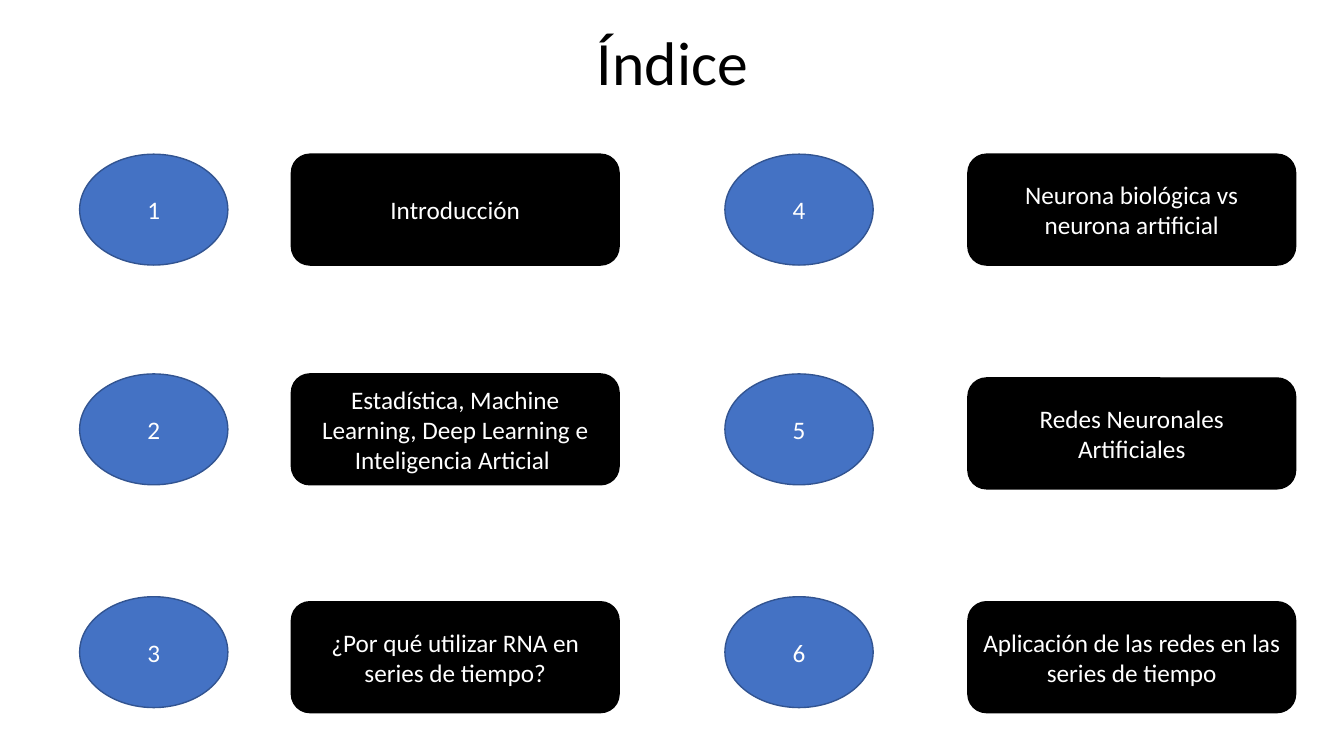
import pptx
import pptx.util
import pptx.dml.color
import pptx.enum.shapes
import pptx.enum.text

Inches, Pt = pptx.util.Inches, pptx.util.Pt
MSO = pptx.enum.shapes.MSO_SHAPE

# Content: each column has an oval left, a box left, and (topic, box top) rows
TITLE = "Índice"
COLUMNS = [
    (0.79, 2.89, [
        ("Introducción", 1.53),
        ("Estadística, Machine Learning, Deep Learning e Inteligencia Articial ", 3.71),
        ("¿Por qué utilizar RNA en series de tiempo?", 5.97),
    ]),
    (7.19, 9.6, [
        ("Neurona biológica vs neurona artificial", 1.53),
        ("Redes Neuronales Artificiales", 3.75),
        ("Aplicación de las redes en las series de tiempo", 5.97),
    ]),
]
OVAL_TOPS = [1.53, 3.71, 5.92]
OVAL_W, BOX_W, ITEM_H = 1.47, 3.25, 1.1


def color(hex_string):
    return pptx.dml.color.RGBColor.from_string(hex_string)


def set_text(shape, text, size, font_color):
    tf = shape.text_frame
    tf.word_wrap = True
    tf.vertical_anchor = pptx.enum.text.MSO_ANCHOR.MIDDLE
    p = tf.paragraphs[0]
    p.text = text
    p.alignment = pptx.enum.text.PP_ALIGN.CENTER
    p.font.name = "Calibri"
    p.font.size = Pt(size)
    p.font.color.rgb = color(font_color)


def add_item(s, kind, left, top, width, text, fill, line):
    sp = s.shapes.add_shape(kind, Inches(left), Inches(top), Inches(width), Inches(ITEM_H))
    sp.shadow.inherit = False
    sp.fill.solid()
    sp.fill.fore_color.rgb = color(fill)
    sp.line.color.rgb = color(line)
    sp.line.width = Pt(1)
    set_text(sp, text, 18, "FFFFFF")


prs = pptx.Presentation()
prs.slide_width, prs.slide_height = Inches(13.33), Inches(7.5)
s = prs.slides.add_slide(prs.slide_layouts[6])

# Title
title = s.shapes.add_textbox(Inches(0.67), Inches(0.06), Inches(12), Inches(1.09))
set_text(title, TITLE, 44, "000000")

# Numbered topics, counted down each column
number = 0
for oval_left, box_left, topics in COLUMNS:
    for oval_top, (topic, box_top) in zip(OVAL_TOPS, topics):
        number += 1
        add_item(s, MSO.OVAL, oval_left, oval_top, OVAL_W, str(number), "4472C4", "325491")
        add_item(s, MSO.ROUNDED_RECTANGLE, box_left, box_top, BOX_W, topic, "000000", "000000")

prs.save("out.pptx")
